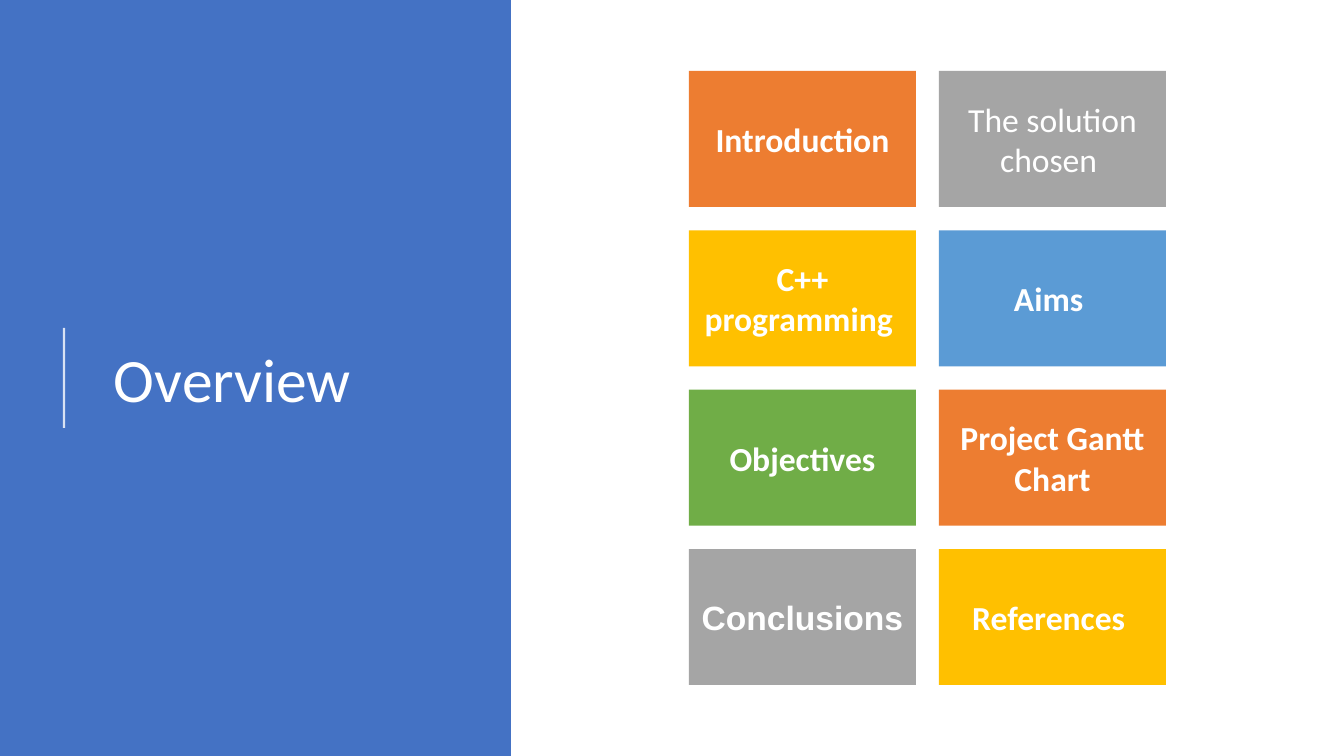
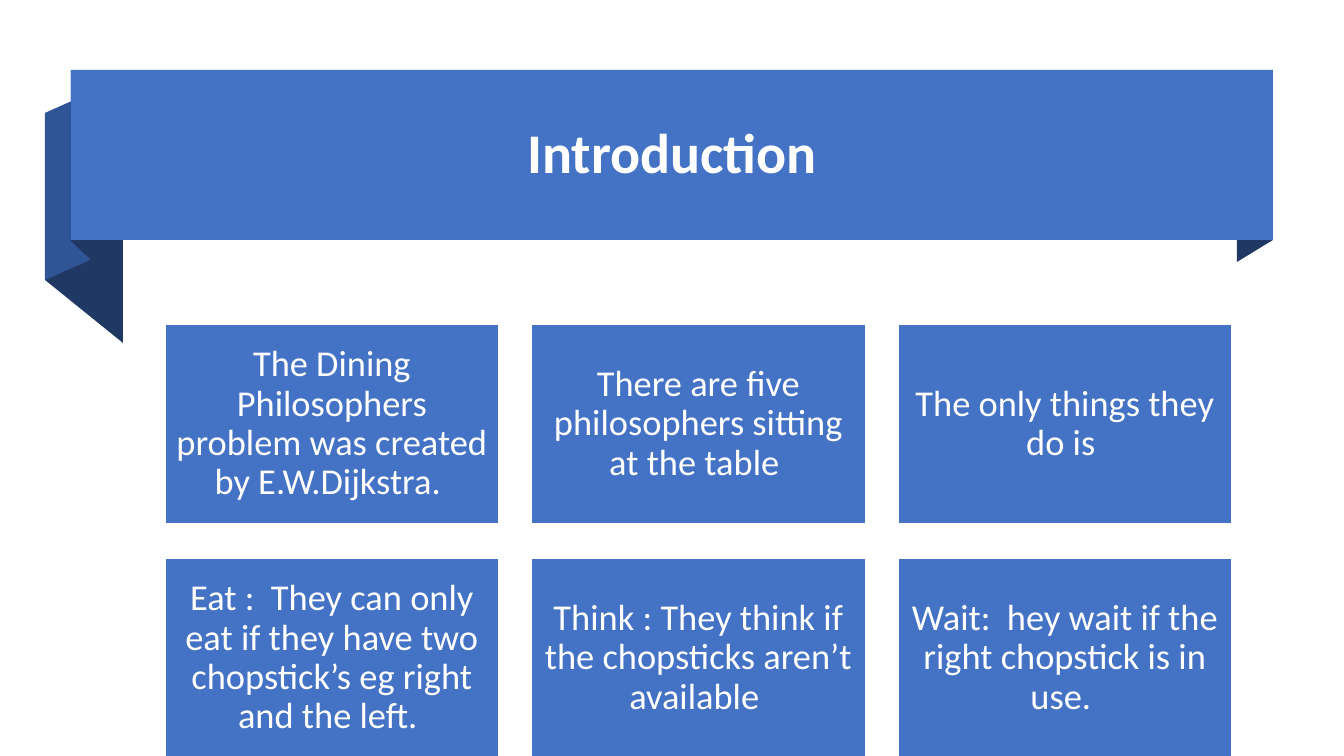
from dataclasses import dataclass
from typing import Any, Iterator, Optional

from lxml import etree
from pptx import Presentation
from pptx import util as u
from pptx.dml import color as dml
from pptx.enum import shapes, text
from pptx.oxml import ns

SCALE = 914400 / 100.8
COLORS = {
    "white": "FFFFFF",
    "blue": "4472C4",
    "fold": "2F5597",
    "navy": "203864",
    "orange": "ED7D31",
    "gray": "A5A5A5",
    "gold": "FFC000",
    "sky": "5B9BD5",
    "green": "70AD47",
}


@dataclass(frozen=True)
class Frame:
    left: float
    top: float
    width: float
    height: float


@dataclass(frozen=True)
class Style:
    size: int
    bold: bool = False
    font: str = "Calibri"
    spacing: float = 1.0
    centered: bool = True
    inset_x: int = 10
    inset_y: int = 10


@dataclass(frozen=True)
class Tile:
    words: str
    color: str
    style: Style


@dataclass(frozen=True)
class Grid:
    area: Frame
    columns: int
    rows: int
    width: int
    height: int

    def frames(self) -> Iterator[Frame]:
        step_x = (self.area.width - self.width) / (self.columns - 1)
        step_y = (self.area.height - self.height) / (self.rows - 1)
        for row in range(self.rows):
            for column in range(self.columns):
                yield Frame(self.area.left + column * step_x,
                            self.area.top + row * step_y,
                            self.width, self.height)


@dataclass(frozen=True)
class Fold:
    color: str
    points: tuple[tuple[int, int], ...]


def px(value: float) -> u.Emu:
    return u.Emu(round(value * SCALE))


def rgb(name: str) -> dml.RGBColor:
    return dml.RGBColor.from_string(COLORS[name])


def bounds(frame: Frame) -> tuple[u.Emu, ...]:
    return px(frame.left), px(frame.top), px(frame.width), px(frame.height)


def set_all(target: Any, values: dict[str, Any]) -> None:
    for name, value in values.items():
        setattr(target, name, value)


def paint(shape: Any, color: str, outline: Optional[str] = None) -> None:
    shape.shadow.inherit = False
    shape.fill.solid()
    shape.fill.fore_color.rgb = rgb(color)
    if outline:
        shape.line.color.rgb = rgb(outline)
        shape.line.width = u.Pt(1)
    else:
        shape.line.fill.background()


def write(shape: Any, words: str, style: Style) -> None:
    frame = shape.text_frame
    set_all(frame, {
        "word_wrap": True,
        "vertical_anchor": text.MSO_ANCHOR.MIDDLE,
        "margin_left": px(style.inset_x),
        "margin_right": px(style.inset_x),
        "margin_top": px(style.inset_y),
        "margin_bottom": px(style.inset_y),
    })
    para = frame.paragraphs[0]
    align = text.PP_ALIGN.CENTER if style.centered else text.PP_ALIGN.LEFT
    set_all(para, {"alignment": align, "line_spacing": style.spacing})
    span = para.add_run()
    span.text = words
    set_all(span.font, {"size": u.Pt(style.size), "name": style.font, "bold": style.bold})
    span.font.color.rgb = rgb("white")


def add_panel(page: Any, frame: Frame, color: str, outline: Optional[str] = None) -> Any:
    panel = page.shapes.add_shape(shapes.MSO_SHAPE.RECTANGLE, *bounds(frame))
    paint(panel, color, outline)
    return panel


def add_title(page: Any, frame: Frame, words: str, style: Style) -> None:
    write(page.shapes.add_textbox(*bounds(frame)), words, style)


def add_tiles(page: Any, grid: Grid, tiles: list[Tile], outline: Optional[str] = None) -> None:
    for frame, tile in zip(grid.frames(), tiles):
        write(add_panel(page, frame, tile.color, outline), tile.words, tile.style)


def add_fold(page: Any, fold: Fold) -> None:
    start, *others = fold.points
    builder = page.shapes.build_freeform(*start, scale=SCALE)
    builder.add_line_segments(others, close=True)
    paint(builder.convert_to_shape(), fold.color)


def add_rule(page: Any, x: int, bottom: int, top: int) -> None:
    rule = page.shapes.add_connector(
        shapes.MSO_CONNECTOR.STRAIGHT, px(x), px(bottom), px(x), px(top))
    rule.line.width = u.Pt(1.5)
    rule.line.color.rgb = rgb("white")
    properties = rule._element.spPr
    tone = properties.find(".//" + ns.qn("a:srgbClr"))
    etree.SubElement(tone, ns.qn("a:alpha")).set("val", "80000")
    etree.SubElement(properties, ns.qn("a:effectLst"))


TOPIC = Style(24, bold=True)
TOPICS = [
    Tile("Introduction", "orange", TOPIC),
    Tile("The solution chosen ", "gray", Style(24)),
    Tile("C++ programming ", "gold", TOPIC),
    Tile("Aims ", "sky", TOPIC),
    Tile("Objectives", "green", TOPIC),
    Tile("Project Gantt Chart", "orange", TOPIC),
    Tile("Conclusions", "gray", Style(24, bold=True, font="Arial")),
    Tile("References ", "gold", TOPIC),
]
FACT = Style(26, spacing=0.9, inset_x=11, inset_y=11)
FACTS = [Tile(words, "blue", FACT) for words in (
    "The Dining Philosophers problem was created by E.W.Dijkstra. ",
    "There are five philosophers sitting at the table ",
    "The only things they do is ",
    "Eat :  They can only eat if they have two chopstick’s eg right and the left. ",
    "Think : They think if the chopsticks aren’t available ",
    "Wait:  hey wait if the right chopstick is in use. ",
)]
FOLDS = [
    Fold("navy", ((123, 343), (45, 280), (45, 113), (123, 176))),
    Fold("fold", ((90, 260), (45, 280), (45, 113), (90, 93))),
    Fold("navy", ((90, 259), (71, 241), (71, 70), (90, 89))),
    Fold("navy", ((1273, 240), (1237, 262), (1237, 92), (1273, 70))),
]


def build_overview(page: Any) -> None:
    add_panel(page, Frame(0, 0, 511, 756), "blue")
    add_title(page, Frame(104, 79, 372, 607), "Overview ",
              Style(44, spacing=0.9, centered=False, inset_y=5))
    add_rule(page, 64, 428, 328)
    add_tiles(page, Grid(Frame(689, 71, 477, 614), 2, 4, 227, 136), TOPICS)


def build_introduction(page: Any) -> None:
    for fold in FOLDS:
        add_fold(page, fold)
    add_panel(page, Frame(71, 70, 1202, 170), "blue")
    add_title(page, Frame(106, 88, 1132, 134), "Introduction",
              Style(40, bold=True, spacing=0.9, inset_y=5))
    add_tiles(page, Grid(Frame(165, 324, 1067, 434), 3, 2, 334, 200), FACTS, "white")


deck = Presentation()
set_all(deck, {"slide_width": px(1344), "slide_height": px(756)})
for build in (build_overview, build_introduction):
    build(deck.slides.add_slide(deck.slide_layouts[6]))
deck.save("out.pptx")
